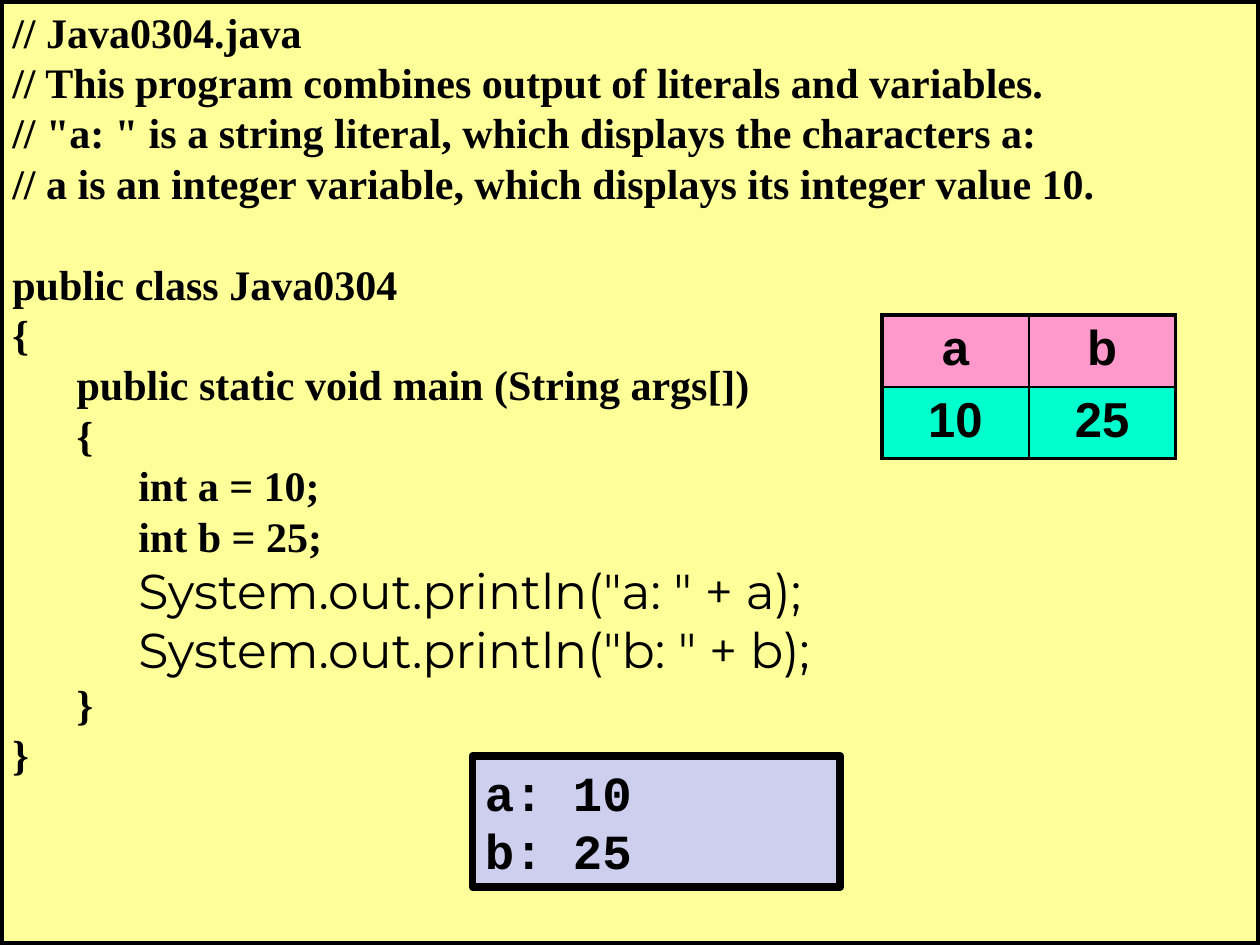
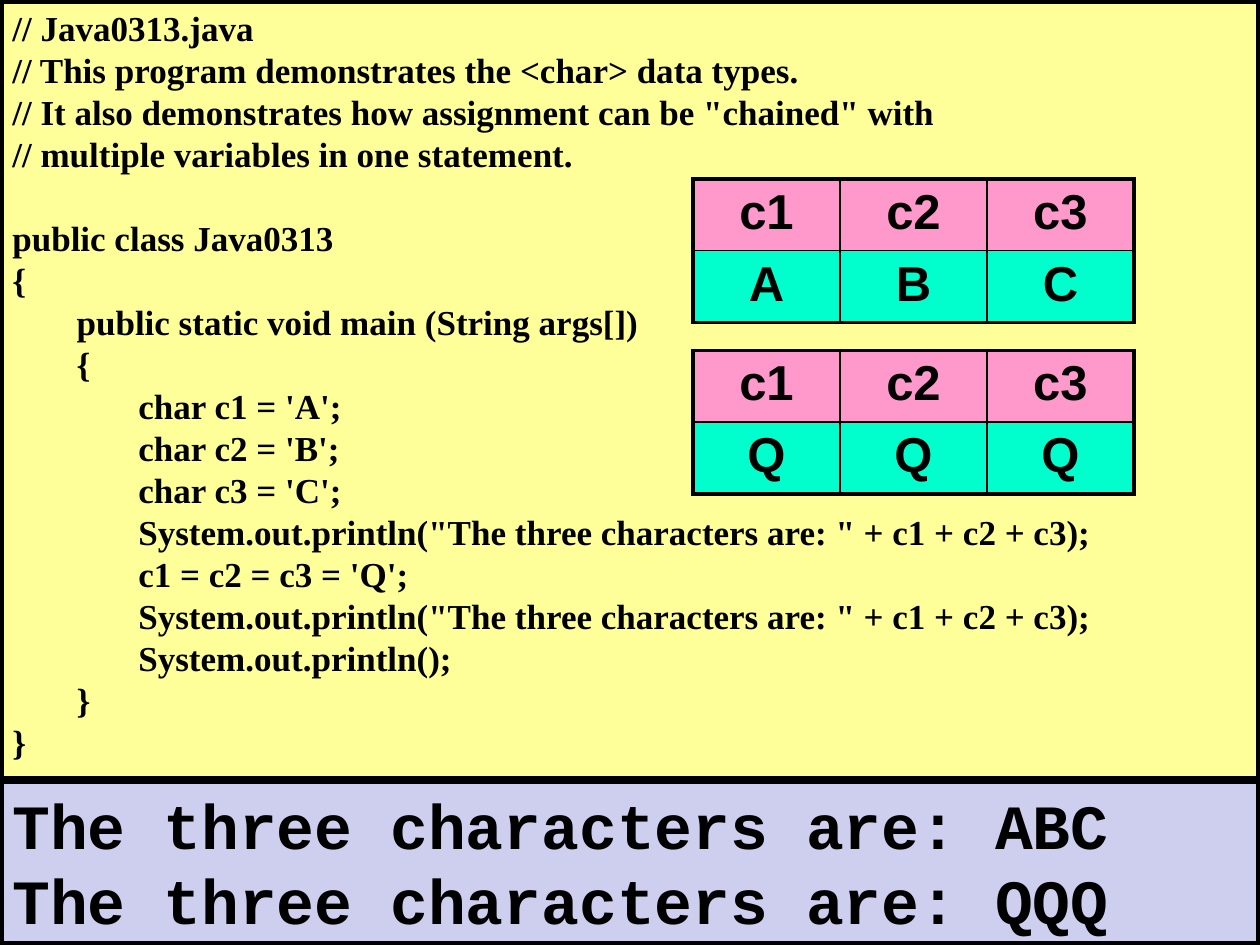
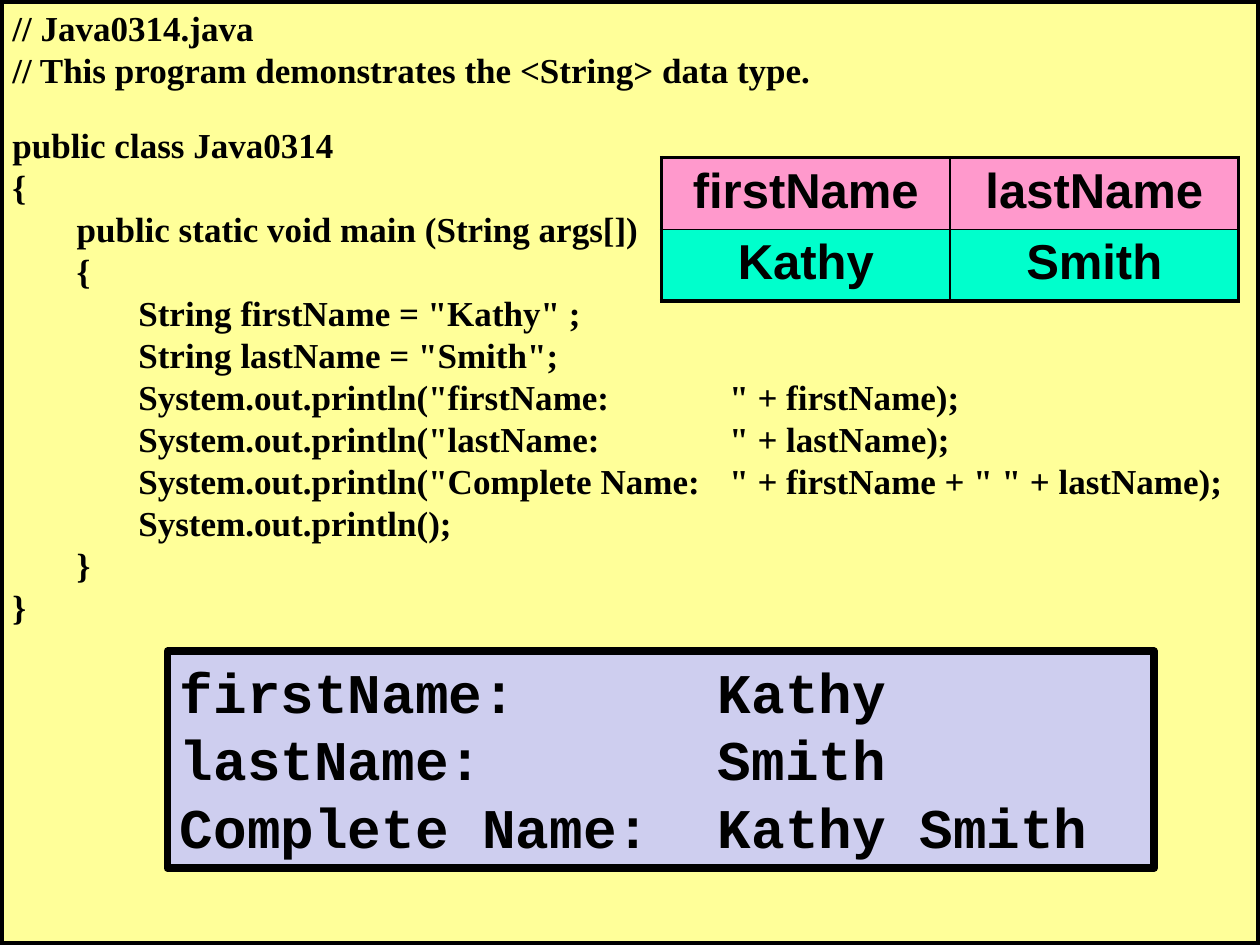
from lxml.etree import SubElement
from pptx import Presentation
from pptx.dml.color import RGBColor
from pptx.enum.shapes import MSO_SHAPE
from pptx.enum.text import MSO_ANCHOR, PP_ALIGN
from pptx.oxml.ns import qn
from pptx.util import Inches, Pt

COLORS = {
    "ink": "000000",
    "code": "FFFF99",
    "output": "CECEEF",
    "name": "FF99CC",
    "value": "00FFCC",
}
CODE_TABS = (0.51, 1, 5.69)
ROW = 0.57


def color(name):
    return RGBColor.from_string(COLORS[name])


def style(para, face, size):
    font = para.font
    font.name, font.size, font.bold = face, Pt(size), True
    font.color.rgb = color("ink")


def set_tabs(para, stops):
    tabs = SubElement(para._p.get_or_add_pPr(), qn("a:tabLst"))
    for stop in stops:
        SubElement(tabs, qn("a:tab"), pos=str(Inches(stop)), algn="l")


def add_panel(slide, box, fill, lines, face, size, stops=()):
    panel = slide.shapes.add_shape(MSO_SHAPE.RECTANGLE, *map(Inches, box))
    panel.shadow.inherit = False
    panel.fill.solid()
    panel.fill.fore_color.rgb = color(fill)
    panel.line.color.rgb = color("ink")
    panel.line.width = Pt(4.5)
    frame = panel.text_frame
    frame.word_wrap = True
    frame.vertical_anchor = MSO_ANCHOR.TOP
    frame.text = "\n".join(lines)
    for para in frame.paragraphs:
        para.alignment = PP_ALIGN.LEFT
        if stops:
            set_tabs(para, stops)
        style(para, face, size)
    return frame.paragraphs


def add_code(slide, notes, body, size, gap):
    paras = add_panel(slide, (0, 0, 10, 7.5), "code", notes + body,
                      "Times New Roman", size, CODE_TABS)
    paras[len(notes)].space_before = Pt(gap)
    return paras


def add_output(slide, box, lines, size, stops=()):
    add_panel(slide, box, "output", lines, "Courier New", size, stops)


def add_border(cell, side, width):
    line = SubElement(cell._tc.get_or_add_tcPr(), qn(f"a:ln{side}"),
                      w=str(Pt(width)))
    fill = SubElement(line, qn("a:solidFill"))
    SubElement(fill, qn("a:srgbClr"), val=COLORS["ink"])


def add_vars(slide, left, top, width, names, values):
    rows, last = (names, values), len(names) - 1
    table = slide.shapes.add_table(
        2, len(names), Inches(left), Inches(top),
        Inches(width), Inches(2 * ROW)).table
    for r, row in enumerate(rows):
        table.rows[r].height = Inches(ROW)
        for c, text in enumerate(row):
            cell = table.cell(r, c)
            edges = {"L": c == 0, "R": c == last, "T": r == 0, "B": r == 1}
            for side, outer in edges.items():
                add_border(cell, side, 2.25 if outer else 1)
            cell.fill.solid()
            cell.fill.fore_color.rgb = color(("name", "value")[r])
            cell.text = text
            para = cell.text_frame.paragraphs[0]
            para.alignment = PP_ALIGN.CENTER
            style(para, "Arial", 28)


def wrap_main(name, lines):
    return [f"public class {name}", "{",
            "\tpublic static void main (String args[])", "\t{",
            *(f"\t\t{line}" for line in lines), "\t}", "}"]


def show_ints(slide):
    paras = add_code(slide, [
        "// Java0304.java",
        "// This program combines output of literals and variables.",
        '// "a: " is a string literal, which displays the characters a:',
        "// a is an integer variable, which displays its integer value 10.",
    ], wrap_main("Java0304", [
        "int a = 10;",
        "int b = 25;",
        'System.out.println("a: " + a);',
        'System.out.println("b: " + b);',
    ]), 24, 28.8)
    for para in paras:
        if "println" in para.text:
            style(para, "Montserrat", 28)
            para.font.bold = False
    add_vars(slide, 7, 2.5, 2.33, ["a", "b"], ["10", "25"])
    add_output(slide, (3.75, 6, 2.92, 1.04), ["a: 10", "b: 25"], 28)


def show_chars(slide):
    show = 'System.out.println("The three characters are: " + c1 + c2 + c3);'
    add_code(slide, [
        "// Java0313.java",
        "// This program demonstrates the <char> data types.",
        '// It also demonstrates how assignment can be "chained" with',
        "// multiple variables in one statement.",
    ], wrap_main("Java0313", [
        "char c1 = 'A';",
        "char c2 = 'B';",
        "char c3 = 'C';",
        show,
        "c1 = c2 = c3 = 'Q';",
        show,
        "System.out.println();",
    ]), 20, 24)
    states = ("ABC", "QQQ")
    for top, state in zip((1.42, 2.78), states):
        add_vars(slide, 5.5, top, 3.5, ["c1", "c2", "c3"], state)
    add_output(slide, (0, 6.19, 10, 1.31),
               [f"The three characters are: {state}" for state in states], 36)


def show_names(slide):
    add_code(slide, [
        "// Java0314.java",
        "// This program demonstrates the <String> data type.",
    ], wrap_main("Java0314", [
        'String firstName = "Kathy" ;',
        'String lastName = "Smith";',
        'System.out.println("firstName:\t" + firstName);',
        'System.out.println("lastName:\t" + lastName);',
        'System.out.println("Complete Name:\t" + firstName + " " + lastName);',
        "System.out.println();",
    ]), 20, 19.2)
    add_vars(slide, 5.25, 1.25, 4.58,
             ["firstName", "lastName"], ["Kathy", "Smith"])
    add_output(slide, (1.33, 5.17, 7.83, 1.72), [
        "firstName:\tKathy",
        "lastName:\tSmith",
        "Complete Name:\tKathy Smith",
    ], 32, (4.27,))


def main():
    deck = Presentation()
    deck.slide_width, deck.slide_height = Inches(10), Inches(7.5)
    for show in (show_ints, show_chars, show_names):
        show(deck.slides.add_slide(deck.slide_layouts[6]))
    deck.save("out.pptx")


main()
